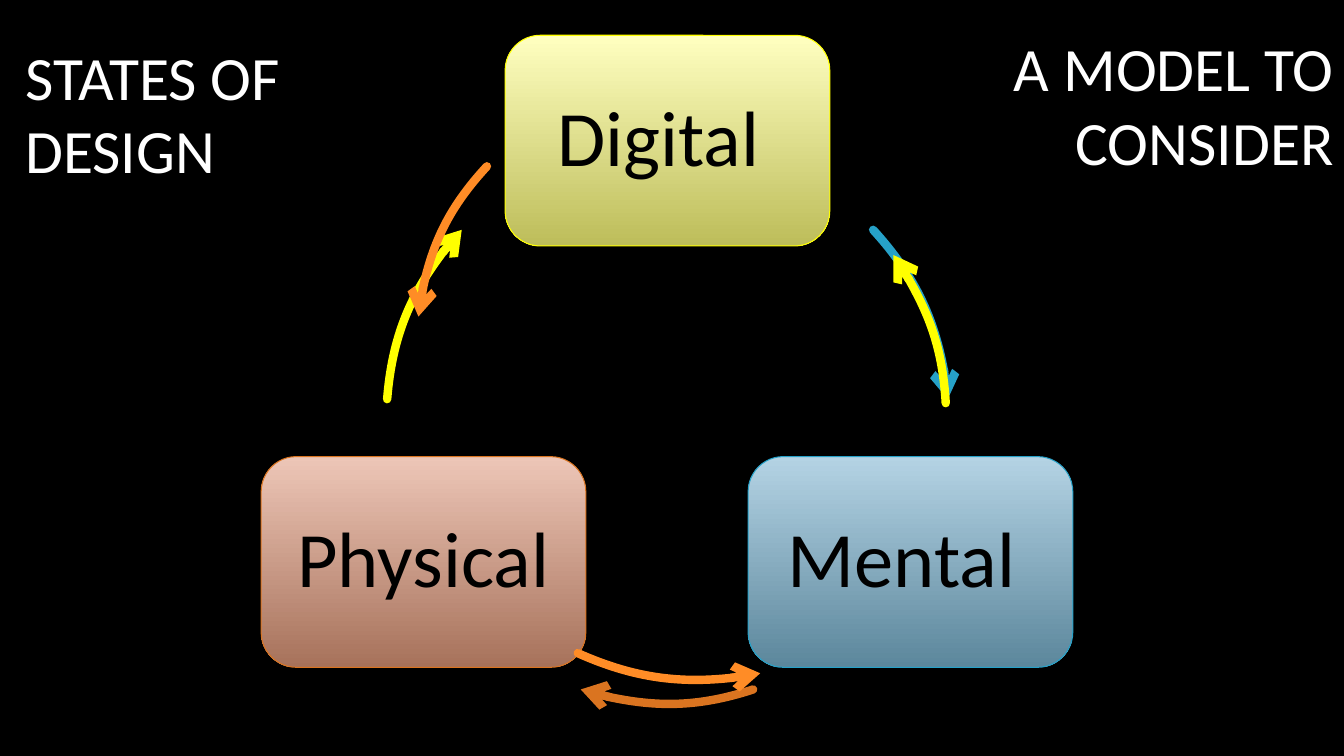
from lxml import etree
from pptx import Presentation
from pptx.dml.color import RGBColor
from pptx.enum.shapes import MSO_SHAPE as Kind
from pptx.enum.text import MSO_ANCHOR as Anchor, MSO_AUTO_SIZE as Fit, PP_ALIGN as Align
from pptx.oxml.ns import qn
from pptx.util import Inches, Pt

BOXES = [
    ("Digital ", 5.01, 0.35, "FFFFC0", "BDBD5A", "FFFF00"),
    ("Mental ", 7.42, 4.53, "B4D3E4", "5C879C", "26A1C8"),
    ("Physical ", 2.59, 4.53, "EDC6B7", "A7725B", "DA7420"),
]
RING = [
    ("26A1C8", (8.66, 2.28), (9.08, 2.74), (9.35, 3.33), (9.4, 3.96)),
    ("DA7420", (7.47, 6.84), (6.92, 7.02), (6.32, 7.02), (5.76, 6.84)),
    ("FFFF00", (3.84, 3.96), (3.89, 3.33), (4.15, 2.74), (4.58, 2.28)),
]
LOOSE = [
    ("FF8C26", (4.83, 1.65), (4.46, 2.05), (4.21, 2.56), (4.15, 3.14)),
    ("FFFF00", (9.38, 4.0), (9.35, 3.47), (9.16, 2.95), (8.86, 2.53)),
    ("FF8C26", (5.73, 6.48), (6.29, 6.73), (6.93, 6.81), (7.54, 6.68)),
]


def tint(code):
    return RGBColor.from_string(code)


def put_text(frame, text, size, code, align):
    frame.word_wrap = True
    frame.auto_size = Fit.NONE
    frame.vertical_anchor = Anchor.MIDDLE
    para = frame.paragraphs[0]
    para.alignment = align
    run = para.add_run()
    run.text = text
    run.font.name = "Calibri"
    run.font.size = Pt(size)
    run.font.color.rgb = tint(code)
    return para


def add_box(slide, text, left, top, light, dark, edge):
    box = slide.shapes.add_shape(
        Kind.ROUNDED_RECTANGLE, Inches(left), Inches(top), Inches(3.22), Inches(2.09))
    box.shadow.inherit = False
    box.fill.gradient()
    box.fill.gradient_angle = 270
    for stop, code in zip(box.fill.gradient_stops, (light, dark)):
        stop.color.rgb = tint(code)
    box.line.color.rgb = tint(edge)
    box.line.width = Pt(0.75)
    frame = box.text_frame
    frame.margin_left = frame.margin_right = Inches(0.23)
    para = put_text(frame, text, 56, "000000", Align.CENTER)
    para.line_spacing = 0.9


def add_arc(slide, code, start, *rest):
    """Draw one cubic curve with an open arrowhead at its end."""
    pen = slide.shapes.build_freeform(Inches(start[0]), Inches(start[1]))
    pen.add_line_segments([(Inches(x), Inches(y)) for x, y in rest], close=False)
    arc = pen.convert_to_shape()
    arc.shadow.inherit = False
    arc.fill.background()
    arc.line.color.rgb = tint(code)
    arc.line.width = Pt(6)
    root = arc.element
    track = next(root.iter(qn("a:path")))
    curve = etree.SubElement(track, qn("a:cubicBezTo"))
    for step in track.findall(qn("a:lnTo")):
        curve.append(step[0])
        track.remove(step)
    line = root.spPr.find(qn("a:ln"))
    line.set("cap", "rnd")
    etree.SubElement(line, qn("a:round"))
    etree.SubElement(line, qn("a:tailEnd"), type="arrow")
    return arc


def fit_ring(arc):
    left, top, size = Inches(3.83), Inches(1.4), Inches(5.58)
    track = next(arc.element.iter(qn("a:path")))
    for dot in track.iter(qn("a:pt")):
        dot.set("x", str(int(dot.get("x")) + arc.left - left))
        dot.set("y", str(int(dot.get("y")) + arc.top - top))
    track.set("w", str(size))
    track.set("h", str(size))
    arc.left, arc.top = left, top
    arc.width = arc.height = size


def main():
    deck = Presentation()
    deck.slide_width, deck.slide_height = Inches(13.33), Inches(7.5)
    slide = deck.slides.add_slide(deck.slide_layouts[5])
    back = slide.background.fill
    back.solid()
    back.fore_color.rgb = tint("000000")

    for box in BOXES:
        add_box(slide, *box)
    for arc in RING:
        fit_ring(add_arc(slide, *arc))
    for arc in LOOSE:
        add_arc(slide, *arc)

    title = slide.shapes.title
    title.left, title.top = Inches(0.15), Inches(0.2)
    title.width, title.height = Inches(4.26), Inches(1.83)
    put_text(title.text_frame, "STATES OF DESIGN", 44, "FFFFFF", Align.LEFT)
    note = slide.shapes.add_textbox(
        Inches(8.65), Inches(0.18), Inches(4.68), Inches(1.7))
    put_text(note.text_frame, "A MODEL TO CONSIDER", 44, "FFFFFF", Align.RIGHT)
    deck.save("out.pptx")


if __name__ == "__main__":
    main()
